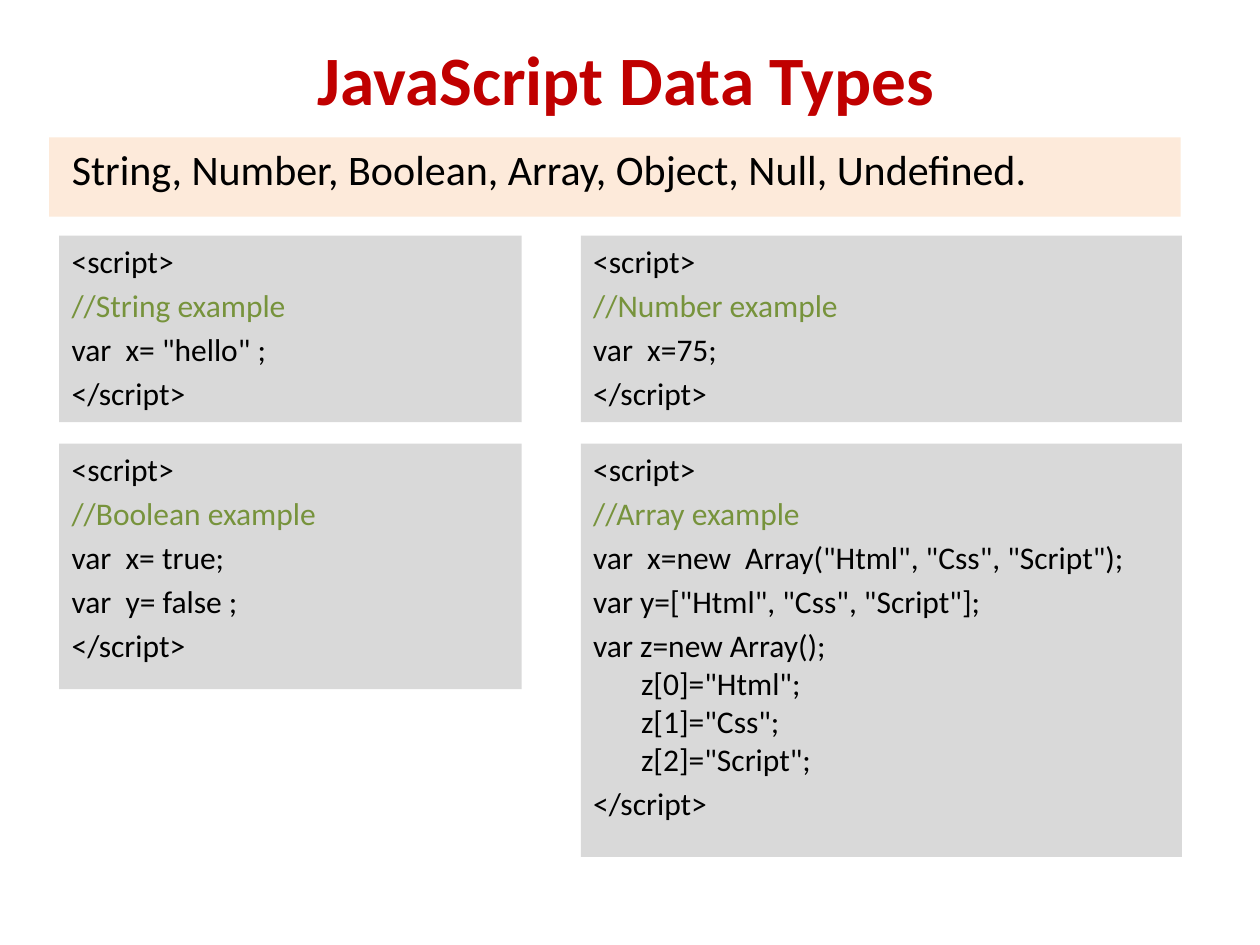
from pptx import Presentation
from pptx.dml.color import RGBColor
from pptx.enum.shapes import MSO_SHAPE
from pptx.enum.text import MSO_ANCHOR, MSO_AUTO_SIZE, PP_ALIGN
from pptx.util import Inches, Pt

THEME = {
    "font": "Calibri",
    "title": "C00000", "ink": "000000", "note": "77933C",
    "band": "FDEADA", "code": "D9D9D9",
    "title_pt": 39.6, "band_pt": 24, "code_pt": 18,
}

TITLE = "JavaScript\u00a0Data Types"
TYPES = "String, Number, Boolean, Array, Object, Null, Undefined."

# Code cards: column, row, height, lines between the script tags
CARDS = [
    (0, 0, 1.48, ["//String example", 'var  x= "hello" ;']),
    (1, 0, 1.48, ["//Number example", "var  x=75;"]),
    (0, 1, 1.95, ["//Boolean example", "var  x= true;", "var  y= false ;"]),
    (1, 1, 3.28, ["//Array example",
                  'var  x=new  Array("Html", "Css", "Script");',
                  'var y=["Html", "Css", "Script"];',
                  'var z=new Array();\vz[0]="Html";\vz[1]="Css";\vz[2]="Script";']),
]
COLS = [(0.47, 3.67), (4.61, 4.77)]
ROWS = [1.87, 3.52]
HANG = 0.38


def style(para, size, color, bold=False):
    font = para.font
    font.name, font.size, font.bold = THEME["font"], Pt(size), bold
    font.color.rgb = RGBColor.from_string(THEME[color])


def add_panel(slide, box, fill, lines, size, inset=0.1):
    panel = slide.shapes.add_shape(MSO_SHAPE.RECTANGLE, *map(Inches, box))
    panel.shadow.inherit = False
    panel.fill.solid()
    panel.fill.fore_color.rgb = RGBColor.from_string(THEME[fill])
    panel.line.fill.background()
    frame = panel.text_frame
    frame.word_wrap = True
    frame.vertical_anchor = MSO_ANCHOR.TOP
    frame.margin_left = Inches(inset)
    for i, line in enumerate(lines):
        para = frame.paragraphs[0] if i == 0 else frame.add_paragraph()
        para.text = line
        para.alignment = PP_ALIGN.LEFT
        para.space_before = Pt(size * 0.2)
        style(para, size, "note" if line.startswith("//") else "ink")
        # Hanging indent
        props = para._p.get_or_add_pPr()
        props.set("marL", str(Inches(HANG)))
        props.set("indent", str(Inches(-HANG)))


def main():
    deck = Presentation()
    deck.slide_width, deck.slide_height = Inches(10), Inches(7.5)
    slide = deck.slides.add_slide(deck.slide_layouts[5])

    # Title
    title = slide.shapes.title
    title.left, title.top, title.width, title.height = map(
        Inches, (0.47, 0.23, 9, 0.78))
    frame = title.text_frame
    frame.text = TITLE
    frame.auto_size = MSO_AUTO_SIZE.NONE
    frame.vertical_anchor = MSO_ANCHOR.MIDDLE
    frame.paragraphs[0].alignment = PP_ALIGN.CENTER
    style(frame.paragraphs[0], THEME["title_pt"], "title", bold=True)

    # Band listing the types
    add_panel(slide, (0.39, 1.09, 8.98, 0.63), "band", [TYPES],
              THEME["band_pt"], inset=0.18)

    # Code cards
    for col, row, height, body in CARDS:
        left, width = COLS[col]
        add_panel(slide, (left, ROWS[row], width, height), "code",
                  ["<script>", *body, "</script>"], THEME["code_pt"])

    deck.save("out.pptx")


if __name__ == "__main__":
    main()
